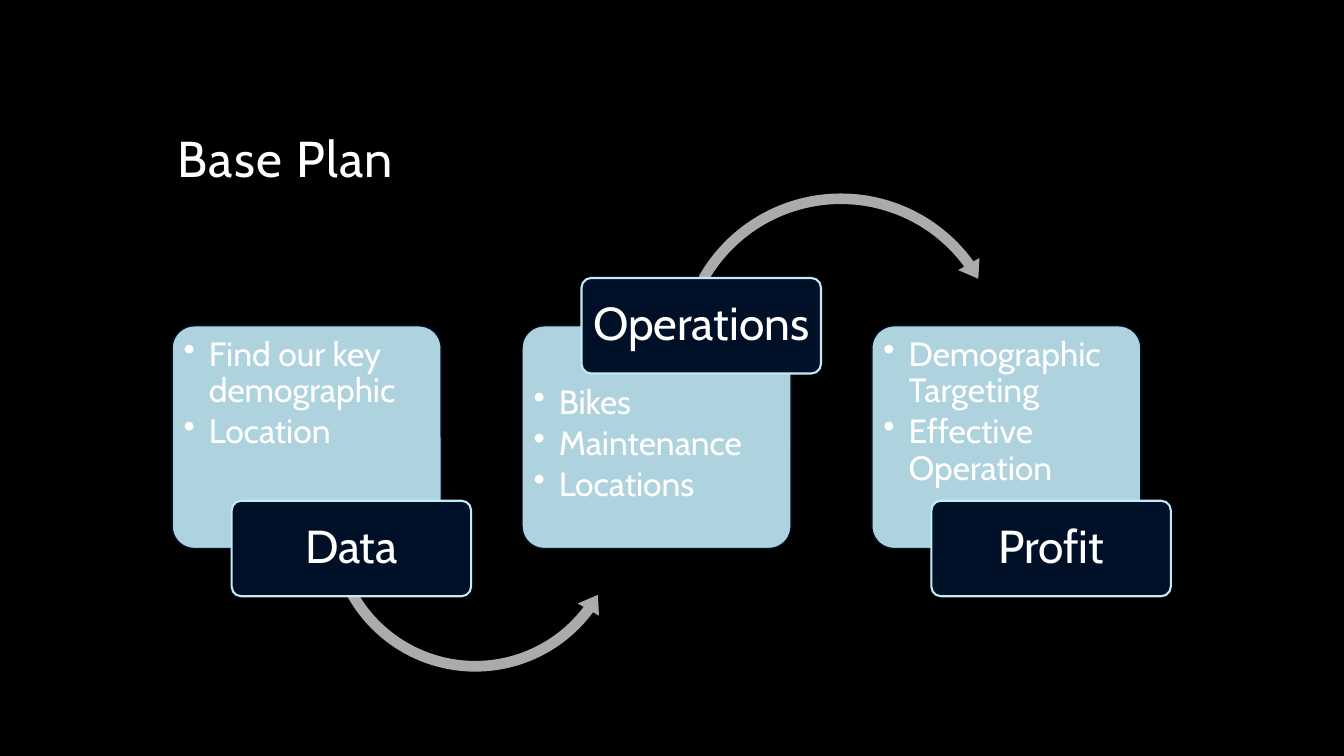
import lxml.etree
import pptx
import pptx.dml.color
import pptx.enum.shapes
import pptx.enum.text
import pptx.oxml.ns
import pptx.util

Pt = pptx.util.Pt
qn = pptx.oxml.ns.qn
SHAPE = pptx.enum.shapes.MSO_SHAPE
ALIGN = pptx.enum.text.PP_ALIGN
ANCHOR = pptx.enum.text.MSO_ANCHOR

FONT = "Cabin"
COLORS = {
    "background": "000000",
    "text": "FFFFFF",
    "card": "C1EBF7",
    "label": "001027",
    "arrow": "ABABAD",
}
CARD_WIDTH, CARD_HEIGHT = 192.2, 159.1
LABEL_WIDTH, LABEL_HEIGHT, LABEL_OFFSET = 171, 68.2, 42.5
FIRST_CARD_LEFT, CARD_TOP, CARD_PITCH = 123, 232.7, 249.9

# Arrow boxes are (left, top, size) relative to the card's top left corner.
LOWER_ARROW = (SHAPE.LEFT_CIRCULAR_ARROW, (107, 33, 219),
               (0.035, 4.277, 22.032, 90.245, 0.04))
UPPER_ARROW = (SHAPE.CIRCULAR_ARROW, (106, -99.5, 243.4),
               (0.031, 3.813, 194.431, 125.755, 0.036))
STAGES = [
    ("Data", ["Find our key demographic", "Location"], False, LOWER_ARROW),
    ("Operations", ["Bikes", "Maintenance", "Locations"], True, UPPER_ARROW),
    ("Profit", ["Demographic Targeting", "Effective Operation"], False, None),
]


def color(name):
    return pptx.dml.color.RGBColor.from_string(COLORS[name])


def add_text(paragraph, text, size):
    run = paragraph.add_run()
    run.text = text
    run.font.name = FONT
    run.font.size = Pt(size)
    run.font.color.rgb = color("text")
    paragraph.line_spacing = 0.9
    return run


def add_filled(slide, kind, box, fill, adjustments, line=None, line_width=1):
    shape = slide.shapes.add_shape(kind, *(Pt(length) for length in box))
    shape.shadow.inherit = False
    for index, value in enumerate(adjustments):
        shape.adjustments[index] = value
    shape.fill.solid()
    shape.fill.fore_color.rgb = color(fill)
    if line:
        shape.line.color.rgb = color(line)
        shape.line.width = Pt(line_width)
    else:
        shape.line.fill.background()
    return shape


def set_margins(frame, side, top, bottom):
    frame.word_wrap = True
    frame.margin_left = frame.margin_right = Pt(side)
    frame.margin_top, frame.margin_bottom = Pt(top), Pt(bottom)


def set_opacity(shape, percent):
    solid_fill = shape._element.spPr.find(qn("a:solidFill"))
    fill_color = solid_fill.find(qn("a:srgbClr"))
    lxml.etree.SubElement(fill_color, qn("a:alpha"), val=str(percent * 1000))


def add_bullet(paragraph):
    properties = paragraph._p.get_or_add_pPr()
    properties.set("marL", str(int(Pt(18))))
    properties.set("indent", str(-int(Pt(18))))
    lxml.etree.SubElement(properties, qn("a:buChar"), char="•")


def add_title(slide, left, top, width, height):
    title = slide.shapes.title
    title.left, title.top = Pt(left), Pt(top)
    title.width, title.height = Pt(width), Pt(height)
    frame = title.text_frame
    frame.auto_size = pptx.enum.text.MSO_AUTO_SIZE.NONE
    frame.vertical_anchor = ANCHOR.BOTTOM
    paragraph = frame.paragraphs[0]
    paragraph.alignment = ALIGN.LEFT
    run = add_text(paragraph, "Base Plan", 36)
    run._r.get_or_add_rPr().set("spc", "100")


def add_card(slide, left, top, width, height, points, label_on_top):
    card = add_filled(slide, SHAPE.ROUNDED_RECTANGLE, (left, top, width, height),
                      "card", [0.1], "label")
    set_opacity(card, 90)
    frame = card.text_frame
    frame.vertical_anchor = ANCHOR.TOP
    label_space = LABEL_HEIGHT / 2
    set_margins(frame, 3.6, 3.6 + label_space * label_on_top,
                3.6 + label_space * (not label_on_top))
    for index, point in enumerate(points):
        paragraph = frame.add_paragraph() if index else frame.paragraphs[0]
        paragraph.alignment = ALIGN.LEFT
        add_text(paragraph, point, 24)
        paragraph.space_after = Pt(3.6)
        add_bullet(paragraph)


def add_label(slide, left, top, width, height, name):
    label = add_filled(slide, SHAPE.ROUNDED_RECTANGLE, (left, top, width, height),
                       "label", [0.1], "card", 1.5)
    frame = label.text_frame
    frame.vertical_anchor = ANCHOR.MIDDLE
    set_margins(frame, 4.8, 3.6, 3.6)
    paragraph = frame.paragraphs[0]
    paragraph.alignment = ALIGN.CENTER
    add_text(paragraph, name, 33)


def add_stage(slide, left, top, width, height, stage):
    """Place a card, the arrow to the next stage and a label on the card's edge."""
    name, points, label_on_top, arrow = stage
    add_card(slide, left, top, width, height, points, label_on_top)
    if arrow:
        kind, (dx, dy, size), adjustments = arrow
        add_filled(slide, kind, (left + dx, top + dy, size, size), "arrow", adjustments)
    edge = top if label_on_top else top + height
    add_label(slide, left + LABEL_OFFSET, edge - LABEL_HEIGHT / 2,
              LABEL_WIDTH, LABEL_HEIGHT, name)


def main():
    presentation = pptx.Presentation()
    presentation.slide_width, presentation.slide_height = Pt(960), Pt(540)
    slide = presentation.slides.add_slide(presentation.slide_layouts[5])
    slide.background.fill.solid()
    slide.background.fill.fore_color.rgb = color("background")
    add_title(slide, 119.5, 30, 720, 108)
    for index, stage in enumerate(STAGES):
        add_stage(slide, FIRST_CARD_LEFT + index * CARD_PITCH, CARD_TOP,
                  CARD_WIDTH, CARD_HEIGHT, stage)
    presentation.save("out.pptx")


if __name__ == "__main__":
    main()
